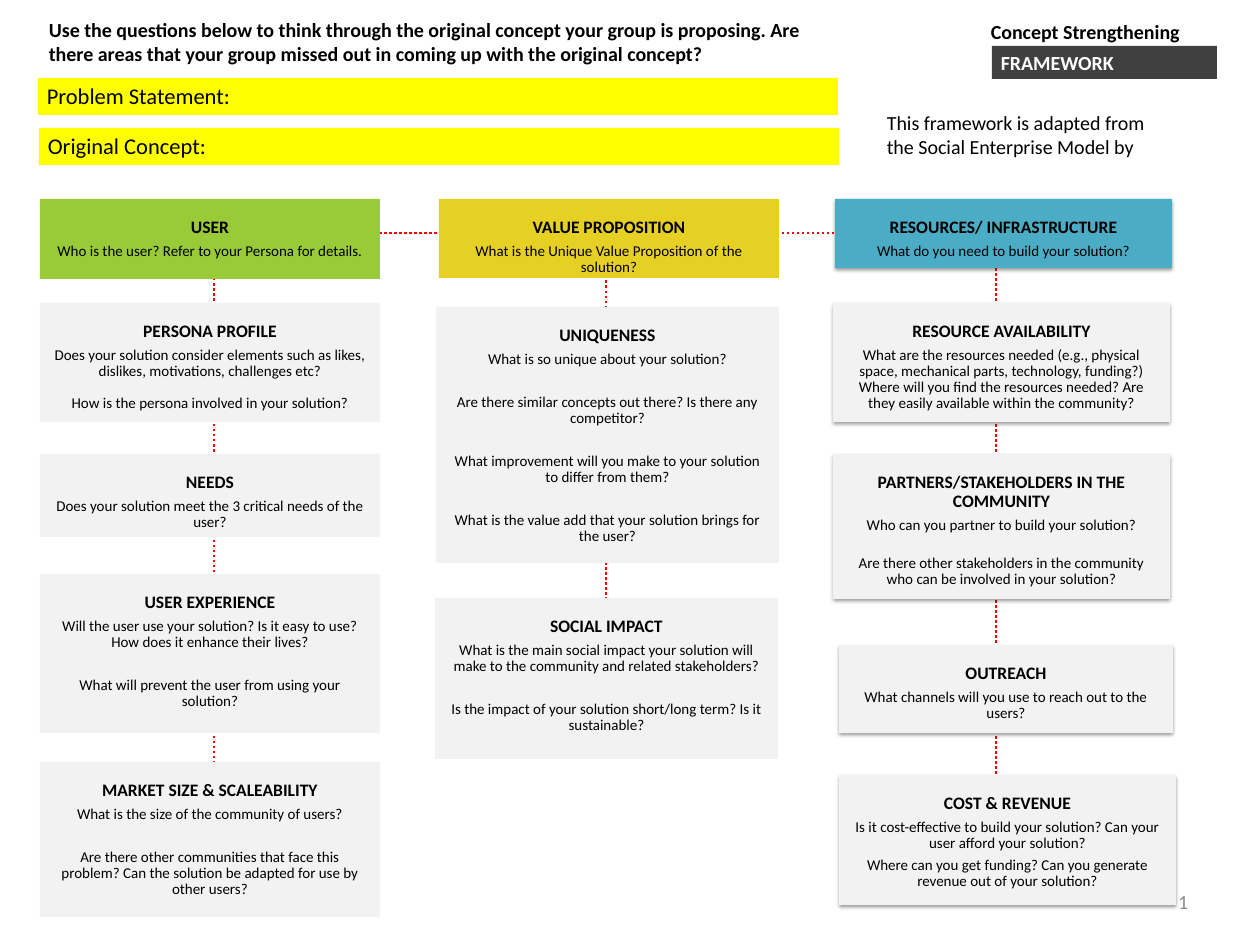
from dataclasses import dataclass

from lxml import etree
from pptx import Presentation
from pptx.dml.color import RGBColor
from pptx.enum.dml import MSO_LINE
from pptx.enum.shapes import MSO_CONNECTOR, MSO_SHAPE
from pptx.enum.text import MSO_ANCHOR, PP_ALIGN
from pptx.oxml.ns import qn
from pptx.util import Pt

RECTANGLE = MSO_SHAPE.RECTANGLE
STRAIGHT = MSO_CONNECTOR.STRAIGHT
DOTTED = MSO_LINE.ROUND_DOT
TOP, MIDDLE = MSO_ANCHOR.TOP, MSO_ANCHOR.MIDDLE
LEFT, CENTER, RIGHT = PP_ALIGN.LEFT, PP_ALIGN.CENTER, PP_ALIGN.RIGHT
EMU_PER_PX = 10160


@dataclass(frozen=True)
class Theme:
    font: str = "Calibri"
    black: str = "000000"
    white: str = "FFFFFF"
    dark: str = "404040"
    number: str = "8C8C8C"
    highlight: str = "FFFF00"
    link: str = "FF0000"
    card: str = "F2F2F2"
    user: str = "99CB38"
    value: str = "E6D024"
    resources: str = "4BACC6"
    field_size: int = 18
    label_size: int = 16
    title_size: int = 14
    question_size: int = 12
    title_gap: float = 5
    question_gap: float = 4.5


THEME = Theme()

LINKS = [
    (996, 253, 996, 786),
    (214, 278, 214, 786),
    (930, 233, 218, 233),
    (606, 205, 606, 759),
]

USER_COLUMN = [
    ((40, 199, 340, 80), THEME.user, "USER", ["Who is the user? Refer to your Persona for details."], 0),
    ((40, 303, 340, 119), THEME.card, "PERSONA PROFILE", [
        "Does your solution consider elements such as likes, dislikes, motivations, challenges etc?",
        "How is the persona involved in your solution?"], 13),
    ((40, 454, 340, 83), THEME.card, "NEEDS", ["Does your solution meet the 3 critical needs of the user?"], 0),
    ((40, 574, 340, 159), THEME.card, "USER EXPERIENCE", [
        "Will the user use your solution? Is it easy to use? How does it enhance their lives?",
        "What will prevent the user from using your solution?"], 21.5),
    ((40, 762, 340, 155), THEME.card, "MARKET SIZE & SCALEABILITY", [
        "What is the size of the community of users?",
        "Are there other communities that face this problem? "
        "Can the solution be adapted for use by other users?"], 21.5),
]

VALUE_COLUMN = [
    ((439, 199, 340, 79), THEME.value, "VALUE PROPOSITION", [
        "What is the Unique Value Proposition of the solution?"], 0),
    ((436, 307, 343, 256), THEME.card, "UNIQUENESS", [
        "What is so unique about your solution?",
        "Are there similar concepts out there? Is there any competitor?",
        "What improvement will you make to your solution to differ from them?",
        "What is the value add that your solution brings for the user?"], 21.5),
    ((435, 598, 343, 161), THEME.card, "SOCIAL IMPACT", [
        "What is the main social impact your solution will make to the community and related stakeholders?",
        "Is the impact of your solution short/long term? Is it sustainable?"], 21.5),
]

RESOURCES_COLUMN = [
    ((835, 199, 337, 69), THEME.resources, "RESOURCES/ INFRASTRUCTURE", [
        "What do you need to build your solution?"], 0),
    ((833, 303, 337, 119), THEME.card, "RESOURCE AVAILABILITY", [
        "What are the resources needed (e.g., physical space, mechanical parts, technology, funding?) "
        "Where will you find the resources needed? Are they easily available within the community?"], 0),
    ((833, 454, 337, 145), THEME.card, "PARTNERS/STAKEHOLDERS IN THE COMMUNITY", [
        "Who can you partner to build your solution?",
        "Are there other stakeholders in the community who can be involved in your solution?"], 17.5),
    ((839, 645, 334, 88), THEME.card, "OUTREACH", ["What channels will you use to reach out to the users?"], 0),
    ((839, 775, 337, 130), THEME.card, "COST & REVENUE", [
        "Is it cost-effective to build your solution? Can your user afford your solution?",
        "Where can you get funding? Can you generate revenue out of your solution?"], THEME.question_gap),
]


def px(value):
    return value * EMU_PER_PX


def color(value):
    return RGBColor.from_string(value)


def style_font(paragraph, size, text_color, bold=False):
    paragraph.font.name = THEME.font
    paragraph.font.size = Pt(size)
    paragraph.font.bold = bold
    paragraph.font.color.rgb = color(text_color)


def add_box(slide, bounds, fill):
    shape = slide.shapes.add_shape(RECTANGLE, *map(px, bounds))
    shape.shadow.inherit = False
    shape.fill.solid()
    shape.fill.fore_color.rgb = color(fill)
    shape.line.fill.background()
    return shape


def add_label(slide, bounds, text, size, text_color=THEME.black, bold=False,
              fill=None, align=LEFT, anchor=TOP):
    if fill:
        shape = add_box(slide, bounds, fill)
    else:
        shape = slide.shapes.add_textbox(*map(px, bounds))
    frame = shape.text_frame
    frame.word_wrap = True
    frame.vertical_anchor = anchor
    paragraph = frame.paragraphs[0]
    paragraph.text = text
    paragraph.alignment = align
    style_font(paragraph, size, text_color, bold)


def add_link(slide, ends):
    connector = slide.shapes.add_connector(STRAIGHT, *map(px, ends))
    connector.line.color.rgb = color(THEME.link)
    connector.line.width = Pt(2)
    connector.line.dash_style = DOTTED
    etree.SubElement(connector._element.spPr, qn("a:effectLst"))


def add_shadow(shape):
    effects = shape._element.spPr.find(qn("a:effectLst"))
    shadow = etree.SubElement(effects, qn("a:outerShdw"), blurRad=str(Pt(3.1)),
                              dist=str(Pt(1.6)), dir="5400000", rotWithShape="0")
    shade = etree.SubElement(shadow, qn("a:srgbClr"), val=THEME.black)
    etree.SubElement(shade, qn("a:alpha"), val="38000")


def add_card(slide, bounds, fill, title, questions, gap, raised):
    shape = add_box(slide, bounds, fill)
    if raised:
        add_shadow(shape)
    frame = shape.text_frame
    frame.word_wrap = True
    frame.vertical_anchor = TOP
    frame.margin_left = frame.margin_right = px(13)
    frame.margin_top = px(19)
    frame.margin_bottom = 0
    for index, text in enumerate([title, *questions]):
        is_title = index == 0
        paragraph = frame.paragraphs[0] if is_title else frame.add_paragraph()
        paragraph.text = text
        paragraph.alignment = CENTER
        paragraph.line_spacing = 0.9
        paragraph.space_after = Pt(THEME.title_gap if is_title else gap)
        size = THEME.title_size if is_title else THEME.question_size
        style_font(paragraph, size, THEME.black, is_title)


def main():
    presentation = Presentation()
    presentation.slide_width = px(1260)
    presentation.slide_height = px(945)
    slide = presentation.slides.add_slide(presentation.slide_layouts[6])

    for ends in LINKS:
        add_link(slide, ends)
    for column, raised in ((USER_COLUMN, False), (VALUE_COLUMN, False), (RESOURCES_COLUMN, True)):
        for card in column:
            add_card(slide, *card, raised)

    add_label(slide, (982, 15, 244, 33), "Concept Strengthening", THEME.label_size, bold=True)
    add_label(slide, (992, 46, 225, 33), "FRAMEWORK", THEME.label_size, THEME.white, True, THEME.dark)
    add_label(slide, (38, 78, 800, 37), "Problem Statement:", THEME.field_size, fill=THEME.highlight)
    add_label(slide, (39, 128, 800, 37), "Original Concept:", THEME.field_size, fill=THEME.highlight)
    add_label(slide, (40, 13, 811, 58),
              "Use the questions below to think through the original concept your group is proposing. "
              "Are there areas that your group missed out in coming up with the original concept?",
              THEME.label_size, bold=True)
    add_label(slide, (878, 106, 279, 58),
              "This framework is adapted from the Social Enterprise Model by", THEME.label_size)
    add_label(slide, (903, 876, 294, 50), "1", THEME.label_size, THEME.number,
              align=RIGHT, anchor=MIDDLE)
    presentation.save("out.pptx")


if __name__ == "__main__":
    main()
